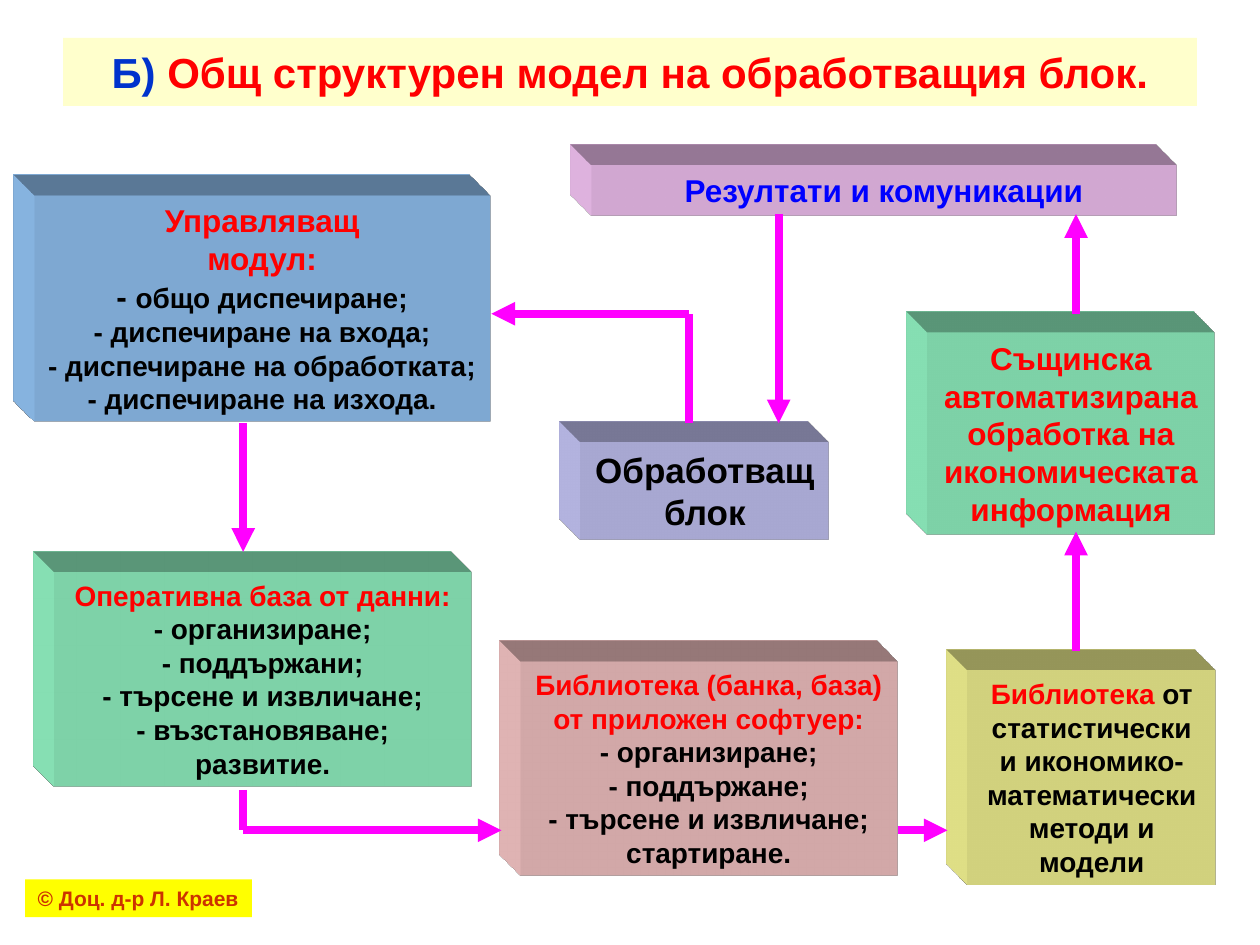
from lxml import etree
from pptx import Presentation
from pptx.dml.color import RGBColor
from pptx.enum.shapes import MSO_CONNECTOR, MSO_SHAPE
from pptx.enum.text import MSO_ANCHOR, MSO_AUTO_SIZE, PP_ALIGN
from pptx.oxml import parse_xml
from pptx.oxml.ns import nsdecls, qn
from pptx.util import Inches, Pt

RECT = MSO_SHAPE.RECTANGLE
STRAIGHT = MSO_CONNECTOR.STRAIGHT
MIDDLE, TOP = MSO_ANCHOR.MIDDLE, MSO_ANCHOR.TOP
NO_FIT, GROW = MSO_AUTO_SIZE.NONE, MSO_AUTO_SIZE.SHAPE_TO_FIT_TEXT
CENTER, LEFT = PP_ALIGN.CENTER, PP_ALIGN.LEFT

THEME = {
    "font": "Arial",
    "title": 24, "block": 20, "head": 18, "body": 16, "credit": 12,
    "red": "FF0000", "black": "000000", "blue": "0000FF", "navy": "0033CC",
    "rust": "CC3300", "cream": "FFFFCC", "yellow": "FFFF00",
    "lilac": "CCCCFF", "sky": "99CCFF", "mint": "99FFCC", "rose": "FFCCCC",
    "lemon": "FFFF99", "pink": "FFCCFF", "arrow": "FF00FF",
}


def write(sp, fill, runs, align=CENTER, anchor=TOP, fit=GROW, wrap=True):
    sp.fill.solid()
    sp.fill.fore_color.rgb = RGBColor.from_string(THEME[fill])
    sp.line.fill.background()
    tf = sp.text_frame
    tf.word_wrap, tf.auto_size, tf.vertical_anchor = wrap, fit, anchor
    p = tf.paragraphs[0]
    p.alignment = align
    for text, size, color in runs:
        for i, line in enumerate(text.split("\n")):
            if i:
                p.add_line_break()
            if line:
                r = p.add_run()
                r.text = line
                r.font.name, r.font.size, r.font.bold = THEME["font"], Pt(THEME[size]), True
                r.font.color.rgb = RGBColor.from_string(THEME[color])


def extrude(sp, fill):
    for xml in (
        f'<a:scene3d {nsdecls("a")}><a:camera prst="legacyObliqueTopLeft"/>'
        '<a:lightRig rig="legacyFlat3" dir="b"/></a:scene3d>',
        f'<a:sp3d {nsdecls("a")} extrusionH="430200" prstMaterial="legacyMatte">'
        '<a:bevelT w="13500" h="13500" prst="angle"/>'
        '<a:bevelB w="13500" h="13500" prst="angle"/>'
        f'<a:extrusionClr><a:srgbClr val="{THEME[fill]}"/></a:extrusionClr></a:sp3d>',
    ):
        sp._element.spPr.append(parse_xml(xml))


prs = Presentation()
prs.slide_width, prs.slide_height = Inches(10), Inches(7.5)
s = prs.slides.add_slide(prs.slide_layouts[5])

title = s.shapes.title
title.left, title.top, title.width, title.height = map(Inches, (0.5, 0.3, 9, 0.54))
write(title, "cream", [
    ("Б)", "title", "navy"),
    (" Общ структурен модел на обработващия блок.", "title", "red"),
], anchor=MIDDLE, fit=NO_FIT)

credit = s.shapes.add_shape(RECT, *map(Inches, (0.2, 6.98, 1.8, 0.3)))
credit.shadow.inherit = False
write(credit, "yellow", [("© Доц. д-р Л. Краев", "credit", "rust")], align=LEFT, wrap=False)

blocks = [
    ((4.61, 3.51, 1.97, 0.77), "lilac", [("Обработващ блок", "block", "black")]),
    ((0.27, 1.55, 3.62, 1.8), "sky", [
        ("Управляващ\nмодул:\n", "head", "red"),
        ("- ", "head", "black"),
        ("общо диспечиране;\n- диспечиране на входа;\n"
         "- диспечиране на обработката;\n- диспечиране на изхода.", "body", "black")]),
    ((0.43, 4.54, 3.31, 1.7), "mint", [
        ("Оперативна база от данни:\n", "body", "red"),
        ("- организиране;\n- поддържани;\n- търсене и извличане;\n"
         "- възстановяване;\nразвитие.", "body", "black")]),
    ((4.13, 5.25, 2.99, 1.7), "rose", [
        ("Библиотека (банка, база) от приложен софтуер:\n", "body", "red"),
        ("- организиране;\n- поддържане;\n- търсене и извличане;\nстартиране.",
         "body", "black")]),
    ((7.68, 5.32, 1.97, 1.7), "lemon", [
        ("Библиотека", "body", "red"),
        (" от статистически\nи икономико-\nматематически\nметоди и\nмодели",
         "body", "black")]),
    ((7.36, 2.64, 2.28, 1.6), "mint", [
        ("Същинска\nавтоматизирана\nобработка на\nикономическата\nинформация",
         "head", "red")]),
    ((4.69, 1.31, 4.65, 0.4), "pink", [("Резултати и комуникации", "head", "blue")]),
]
for box, fill, runs in blocks:
    sp = s.shapes.add_shape(RECT, *map(Inches, box))
    sp.shadow.inherit = False
    write(sp, fill, runs)
    extrude(sp, fill)

routes = [
    [(5.47, 3.36), (5.47, 2.49), (3.9, 2.49)],
    [(1.93, 3.36), (1.93, 4.38)],
    [(1.93, 6.27), (1.93, 6.59), (3.98, 6.59)],
    [(7.13, 6.59), (7.52, 6.59)],
    [(8.54, 5.17), (8.54, 4.22)],
    [(8.54, 2.49), (8.54, 1.7)],
    [(6.18, 1.7), (6.18, 3.36)],
]
for route in routes:
    for start, end in zip(route, route[1:]):
        line = s.shapes.add_connector(STRAIGHT, *map(Inches, start + end))
        line.line.color.rgb = RGBColor.from_string(THEME["arrow"])
        line.line.width = Pt(4.5)
        if end == route[-1]:
            etree.SubElement(line.line._get_or_add_ln(), qn("a:tailEnd"), type="triangle")
        etree.SubElement(line._element.spPr, qn("a:effectLst"))

prs.save("out.pptx")
